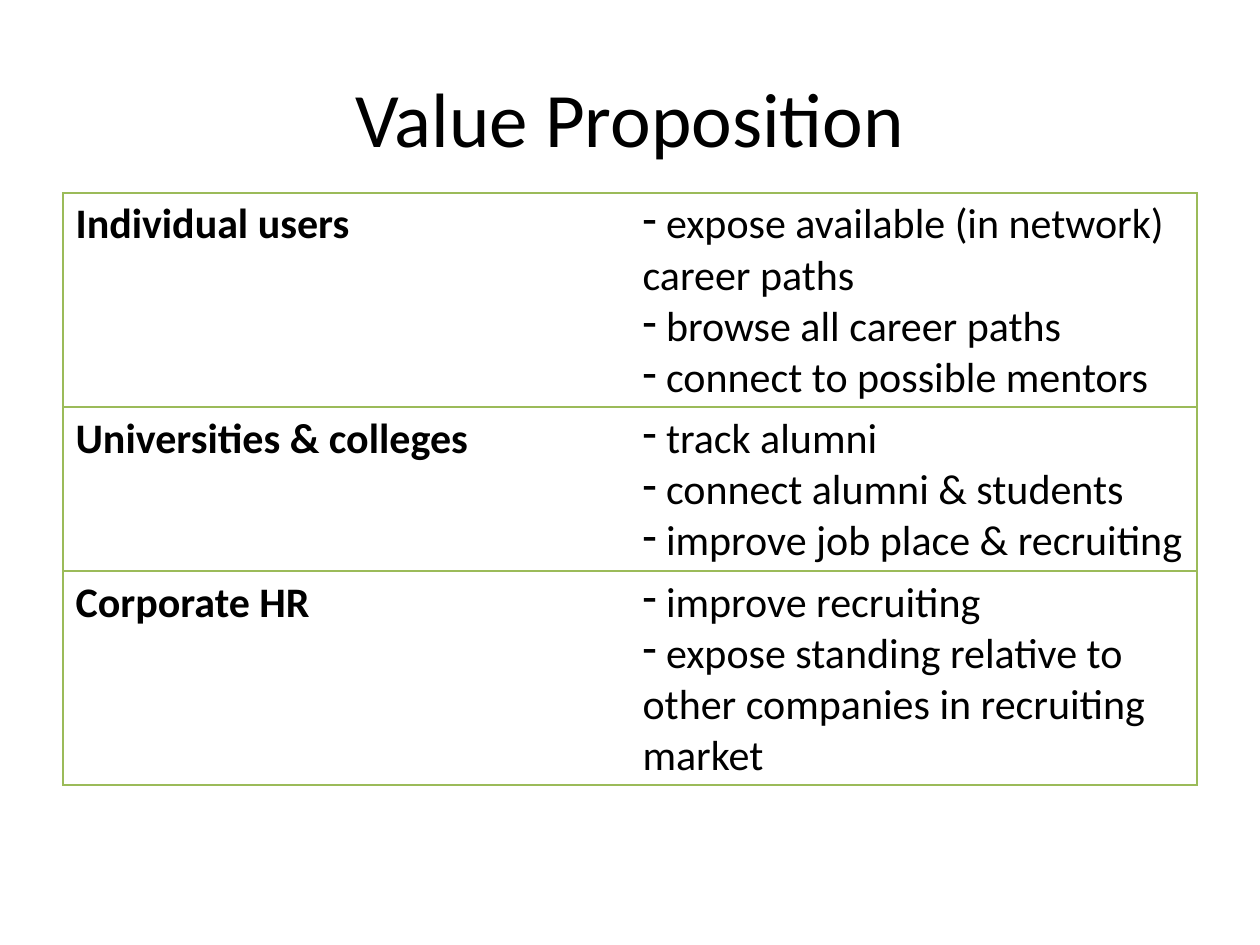
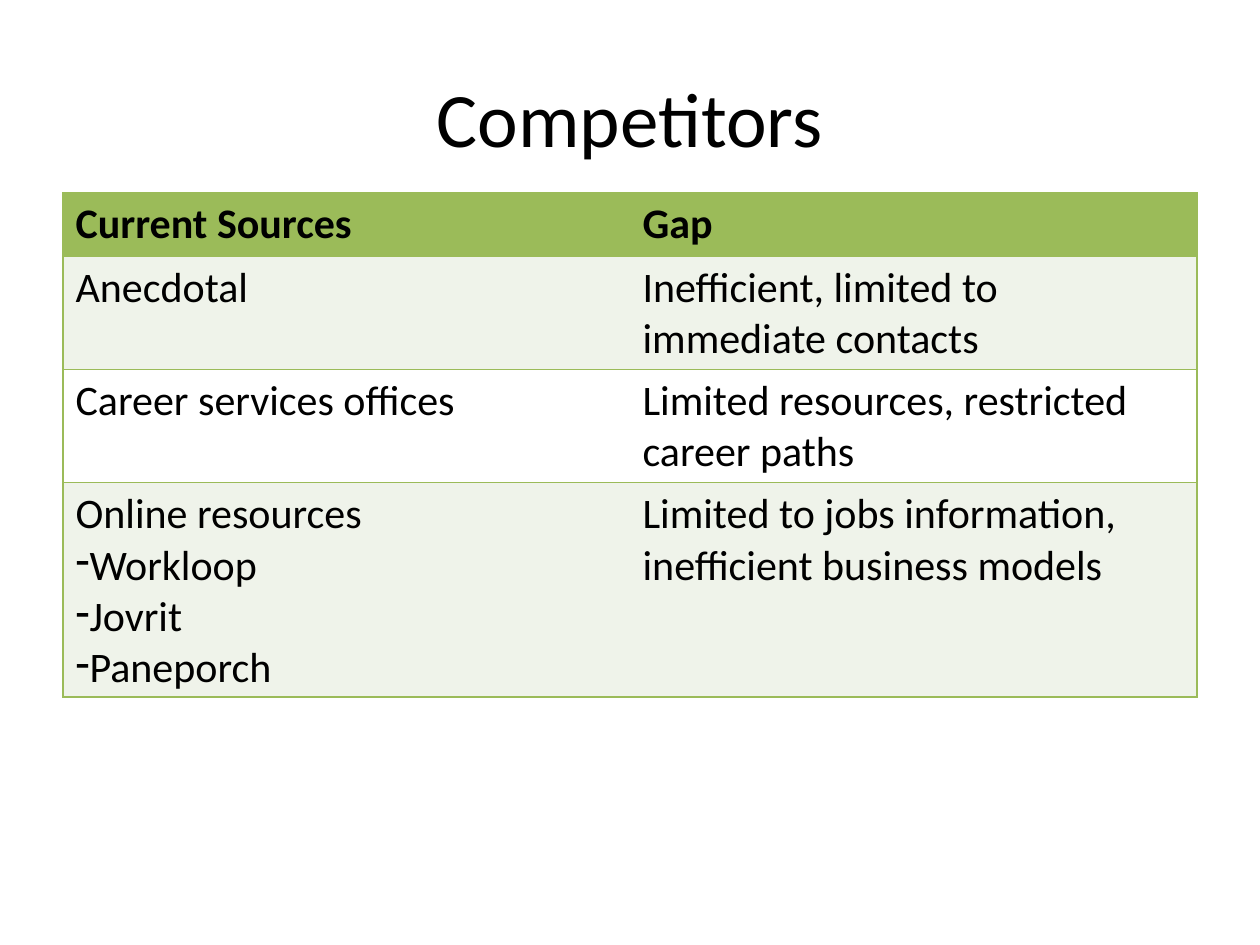
from dataclasses import dataclass

import pptx
import pptx.dml.color
import pptx.enum.text
import pptx.oxml.ns
import pptx.slide
import pptx.table
import pptx.text.text
import pptx.util
from lxml import etree
from pptx.util import Inches

COLORS = {"text": "000000", "green": "9BBB59", "band": "EFF3EA", "white": "FFFFFF"}
FONT = "Calibri"
TITLE_SIZE, BODY_SIZE = 44, 24
LEFT, WIDTH = 0.5, 9
TABLE_TOP = 1.53
LINE_HEIGHT, CELL_PADDING = 0.4, 0.1
BORDER_POINTS = 1


@dataclass
class Line:
    text: str
    bullet: bool = False


@dataclass
class Cell:
    lines: list[Line]
    bold: bool = False


@dataclass
class Row:
    cells: list[Cell]
    line_count: int
    fill: str | None = None


@dataclass
class TableSlide:
    title: str
    rows: list[Row]


def plain(text: str, bold: bool = False) -> Cell:
    return Cell([Line(text)], bold)


def dashed(*texts: str) -> list[Line]:
    return [Line(text, bullet=True) for text in texts]


SLIDES = [
    TableSlide("Value Proposition", [
        Row([plain("Individual users", bold=True),
             Cell(dashed(" expose available (in network) career paths",
                         " browse all career paths",
                         " connect to possible mentors"))], 4),
        Row([plain("Universities & colleges", bold=True),
             Cell(dashed(" track alumni",
                         " connect alumni & students",
                         " improve job place & recruiting"))], 3),
        Row([plain("Corporate HR", bold=True),
             Cell(dashed(" improve recruiting",
                         " expose standing relative to other companies"
                         " in recruiting market"))], 4),
    ]),
    TableSlide("Competitors", [
        Row([plain("Current Sources", bold=True), plain("Gap", bold=True)], 1, "green"),
        Row([plain("Anecdotal"),
             plain("Inefficient, limited to immediate contacts")], 2, "band"),
        Row([plain("Career services offices"),
             plain("Limited resources, restricted career paths")], 2, "white"),
        Row([Cell([Line("Online resources"),
                   *dashed("Workloop", "Jovrit", "Paneporch")]),
             plain("Limited to jobs information, inefficient business models")],
            4, "band"),
    ]),
]


def rgb(name: str) -> pptx.dml.color.RGBColor:
    return pptx.dml.color.RGBColor.from_string(COLORS[name])


def add_run(paragraph: pptx.text.text._Paragraph, text: str, size: float,
            bold: bool = False) -> None:
    run = paragraph.add_run()
    run.text = text
    run.font.name = FONT
    run.font.size = pptx.util.Pt(size)
    run.font.bold = bold
    run.font.color.rgb = rgb("text")


def add_dash_bullet(paragraph: pptx.text.text._Paragraph) -> None:
    properties = paragraph._p.get_or_add_pPr()
    properties.set("marL", "0")
    properties.set("indent", "0")
    etree.SubElement(properties, pptx.oxml.ns.qn("a:buFontTx"))
    etree.SubElement(properties, pptx.oxml.ns.qn("a:buChar"), char="-")


def set_borders(cell: pptx.table._Cell, visible: dict[str, bool]) -> None:
    """Draw the named sides in green and hide the others."""
    properties = cell._tc.get_or_add_tcPr()
    for position, (side, shown) in enumerate(visible.items()):
        line = etree.Element(pptx.oxml.ns.qn(f"a:ln{side}"),
                             w=str(pptx.util.Pt(BORDER_POINTS)))
        if shown:
            fill = etree.SubElement(line, pptx.oxml.ns.qn("a:solidFill"))
            etree.SubElement(fill, pptx.oxml.ns.qn("a:srgbClr"), val=COLORS["green"])
        else:
            etree.SubElement(line, pptx.oxml.ns.qn("a:noFill"))
        properties.insert(position, line)


def add_title(slide: pptx.slide.Slide, text: str) -> None:
    box = slide.shapes.add_textbox(Inches(LEFT), Inches(0.3), Inches(WIDTH), Inches(1.25))
    frame = box.text_frame
    frame.word_wrap = True
    frame.vertical_anchor = pptx.enum.text.MSO_ANCHOR.MIDDLE
    paragraph = frame.paragraphs[0]
    paragraph.alignment = pptx.enum.text.PP_ALIGN.CENTER
    add_run(paragraph, text, TITLE_SIZE)


def fill_cell(cell: pptx.table._Cell, content: Cell, fill: str | None) -> None:
    if fill:
        cell.fill.solid()
        cell.fill.fore_color.rgb = rgb(fill)
    else:
        cell.fill.background()
    frame = cell.text_frame
    for index, line in enumerate(content.lines):
        paragraph = frame.add_paragraph() if index else frame.paragraphs[0]
        if line.bullet:
            add_dash_bullet(paragraph)
        add_run(paragraph, line.text, BODY_SIZE, content.bold)


def add_table(slide: pptx.slide.Slide, rows: list[Row]) -> None:
    heights = [CELL_PADDING + LINE_HEIGHT * row.line_count for row in rows]
    column_count = len(rows[0].cells)
    table = slide.shapes.add_table(
        len(rows), column_count, Inches(LEFT), Inches(TABLE_TOP),
        Inches(WIDTH), Inches(sum(heights))).table
    table.first_row = False
    table.horz_banding = False
    for row_index, row in enumerate(rows):
        table.rows[row_index].height = Inches(heights[row_index])
        for column_index, content in enumerate(row.cells):
            cell = table.cell(row_index, column_index)
            fill_cell(cell, content, row.fill)
            set_borders(cell, {"L": column_index == 0,
                               "R": column_index == column_count - 1,
                               "T": True, "B": True})


presentation = pptx.Presentation()
presentation.slide_width = Inches(10)
presentation.slide_height = Inches(7.5)
blank_layout = presentation.slide_layouts[6]

# One title and one two-column table per slide
for content in SLIDES:
    slide = presentation.slides.add_slide(blank_layout)
    slide.background.fill.solid()
    slide.background.fill.fore_color.rgb = rgb("white")
    add_title(slide, content.title)
    add_table(slide, content.rows)

presentation.save("out.pptx")
